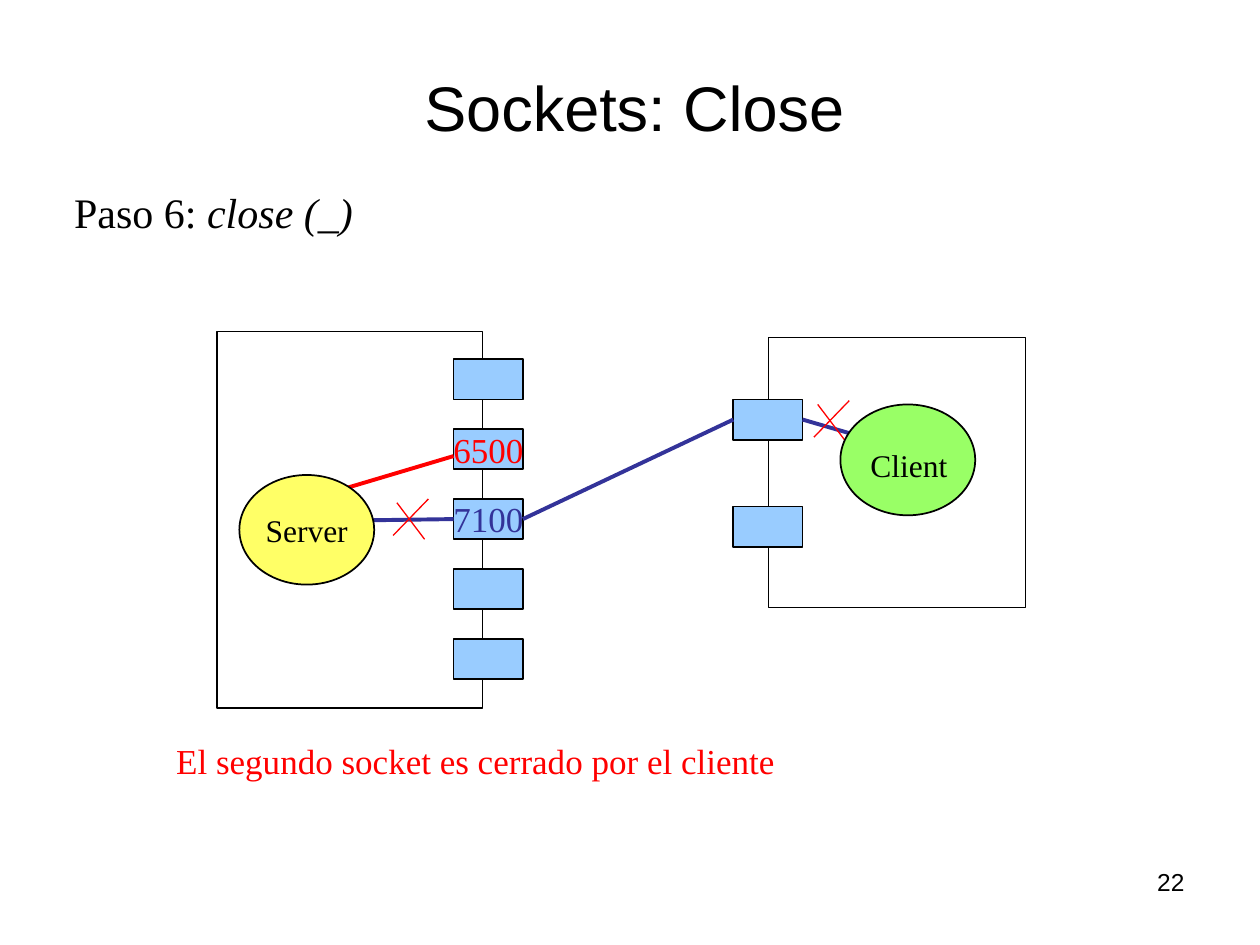
from lxml import etree
from pptx import Presentation
from pptx.dml.color import RGBColor
from pptx.enum.shapes import MSO_CONNECTOR as Connector, MSO_SHAPE as Shape
from pptx.enum.text import MSO_ANCHOR as Anchor, MSO_AUTO_SIZE as AutoSize, PP_ALIGN as Align
from pptx.oxml.ns import qn
from pptx.util import Inches, Pt

BLACK = RGBColor(0x00, 0x00, 0x00)
WHITE = RGBColor(0xFF, 0xFF, 0xFF)
RED = RGBColor(0xFF, 0x00, 0x00)
NAVY = RGBColor(0x33, 0x33, 0x99)
SKY = RGBColor(0x99, 0xCC, 0xFF)
GREEN = RGBColor(0x99, 0xFF, 0x66)
YELLOW = RGBColor(0xFF, 0xFF, 0x66)

deck = Presentation()
deck.slide_width = Inches(10)
deck.slide_height = Inches(7.5)
page = deck.slides.add_slide(deck.slide_layouts[6])


def add_shape(kind, left, top, width, height, fill, weight=1):
    shape = page.shapes.add_shape(kind, Inches(left), Inches(top), Inches(width), Inches(height))
    shape.shadow.inherit = False
    shape.fill.solid()
    shape.fill.fore_color.rgb = fill
    shape.line.color.rgb = BLACK
    shape.line.width = Pt(weight)
    return shape


def add_text(text, left, top, width, height, size=20, font="Times New Roman", color=BLACK,
             align=Align.LEFT, anchor=Anchor.TOP, wrap=False, grow=True, italic_tail=""):
    box = page.shapes.add_textbox(Inches(left), Inches(top), Inches(width), Inches(height))
    frame = box.text_frame
    frame.word_wrap = wrap
    frame.auto_size = AutoSize.SHAPE_TO_FIT_TEXT if grow else AutoSize.NONE
    frame.vertical_anchor = anchor
    para = frame.paragraphs[0]
    para.alignment = align
    for words, italic in ((text, False), (italic_tail, True)):
        if words:
            span = para.add_run()
            span.text = words
            span.font.name = font
            span.font.size = Pt(size)
            span.font.italic = italic
            span.font.color.rgb = color


add_shape(Shape.RECTANGLE, 1.72, 2.63, 2.11, 2.99, WHITE)
add_shape(Shape.RECTANGLE, 6.1, 2.68, 2.04, 2.14, WHITE, weight=0.75)

server_ports = [add_shape(Shape.RECTANGLE, 3.6, 2.85 + 0.555 * row, 0.55, 0.32, SKY)
                for row in range(5)]
client_ports = [add_shape(Shape.RECTANGLE, 5.82, top, 0.55, 0.32, SKY) for top in (3.17, 4.02)]
data_port, client_port = server_ports[2], client_ports[0]

lines = [
    ((2.19, 4.04), (3.6, 3.62), RED, 2.25, None, None),
    ((2.88, 4.13), (3.6, 4.12), NAVY, 2.25, None, (data_port, 1)),
    ((4.15, 4.12), (5.82, 3.33), NAVY, 2.25, (data_port, 3), (client_port, 1)),
    ((6.37, 3.33), (6.92, 3.49), NAVY, 2.25, (client_port, 3), None),
]
for left, top in ((3.12, 3.96), (6.46, 3.18)):
    lines.append(((left + 0.03, top + 0.03), (left + 0.25, top + 0.32), RED, 0.75, None, None))
    lines.append(((left + 0.28, top), (left, top + 0.29), RED, 0.75, None, None))

for start, end, color, weight, begin_joint, end_joint in lines:
    line = page.shapes.add_connector(Connector.STRAIGHT, *map(Inches, start + end))
    line.line.color.rgb = color
    line.line.width = Pt(weight)
    etree.SubElement(line._element.spPr, qn("a:effectLst"))
    if begin_joint:
        line.begin_connect(*begin_joint)
    if end_joint:
        line.end_connect(*end_joint)

add_shape(Shape.OVAL, 1.9, 3.77, 1.07, 0.87, YELLOW)
add_shape(Shape.OVAL, 6.67, 3.21, 1.07, 0.88, GREEN)

add_text("Sockets: Close", 0.57, 0.34, 8.93, 1, size=36, font="Arial", align=Align.CENTER,
         anchor=Anchor.MIDDLE, wrap=True, grow=False)
add_text("Paso 6: ", 0.49, 1.43, 2.5, 0.5, size=24, italic_tail="close (_)")
add_text("Server", 2.01, 4.01, 0.85, 0.4, size=18)
add_text("Client", 6.81, 3.49, 0.81, 0.4, size=18)
for number, top, color in (("6500", 3.35, RED), ("7100", 3.9, NAVY)):
    add_text(number, 3.5, top, 0.78, 0.44, color=color)
add_text("El segundo socket es cerrado por el cliente", 1.3, 5.82, 7.52, 0.43, color=RED, wrap=True)
add_text("22", 7.17, 6.83, 2.33, 0.52, size=14, font="Arial", align=Align.RIGHT,
         wrap=True, grow=False)

deck.save("out.pptx")
